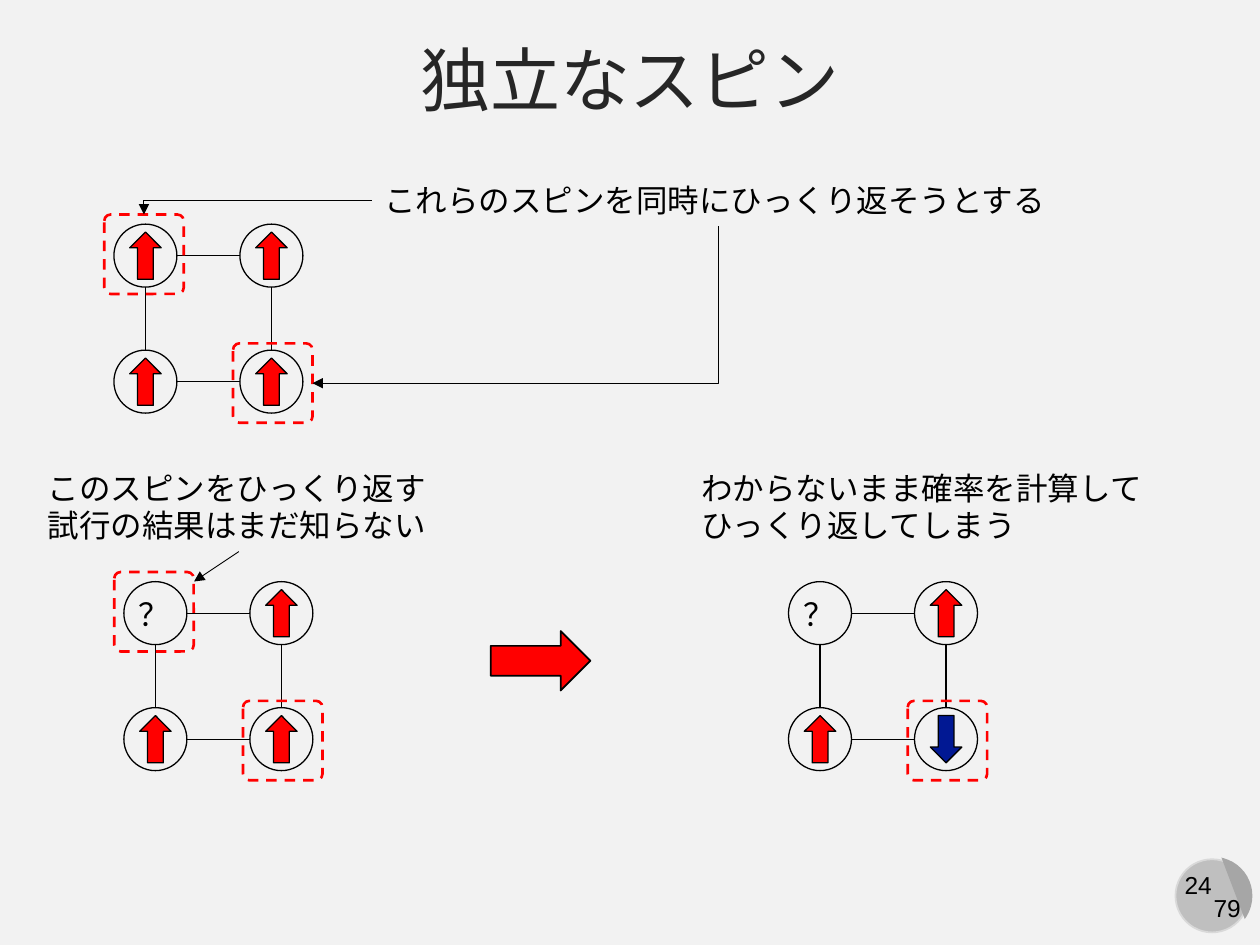
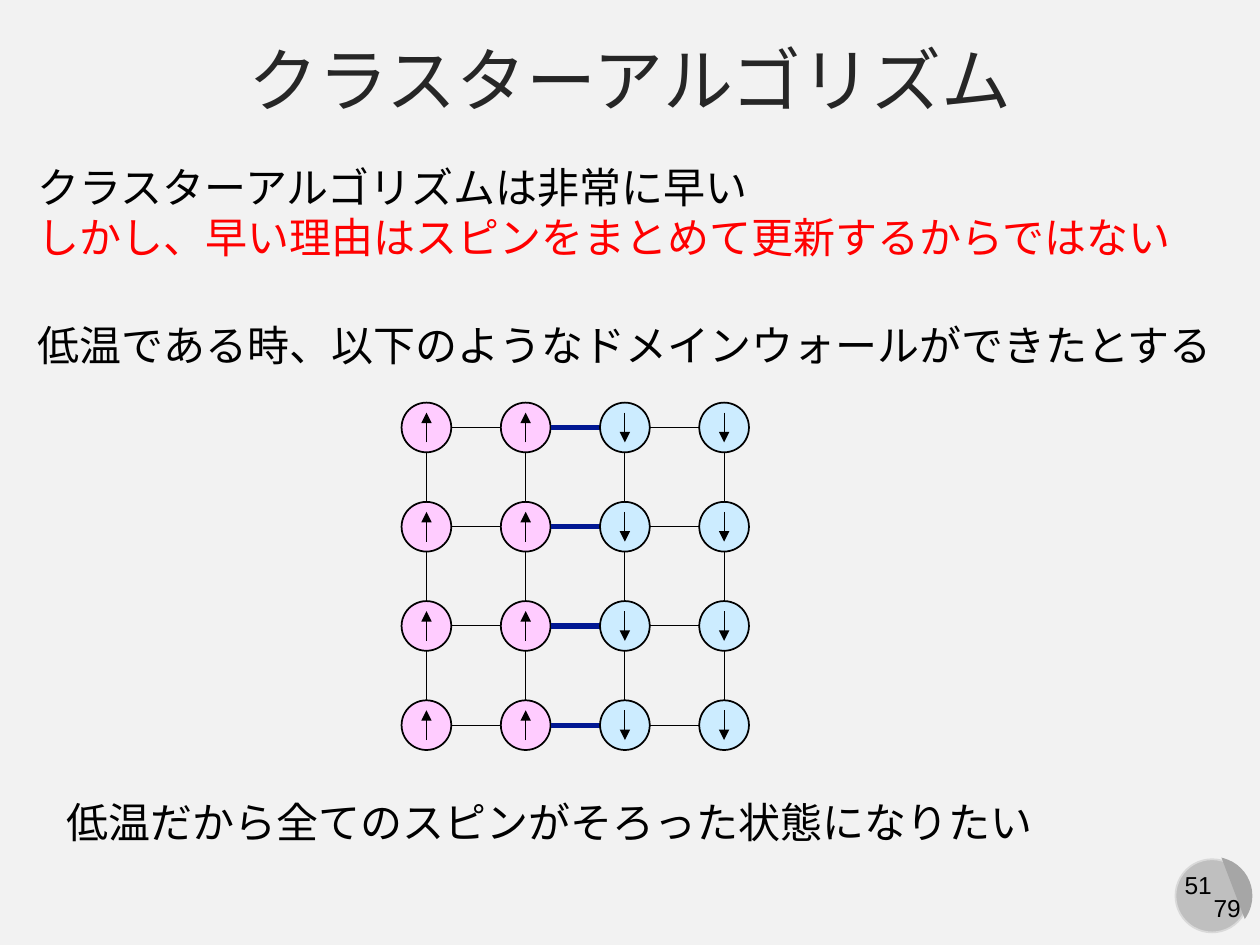
"""Build two slides on spin flips and the cluster algorithm."""
from pptx import Presentation
from pptx.dml.color import RGBColor
from pptx.enum.dml import MSO_LINE
from pptx.enum.lang import MSO_LANGUAGE_ID
from pptx.enum.shapes import MSO_CONNECTOR, MSO_SHAPE
from pptx.enum.text import MSO_ANCHOR, MSO_AUTO_SIZE, PP_ALIGN
from pptx.oxml.ns import qn
from pptx.util import Pt
from lxml import etree

OVAL, CHORD, ROUND = MSO_SHAPE.OVAL, MSO_SHAPE.CHORD, MSO_SHAPE.ROUNDED_RECTANGLE
DOWN, RIGHT = MSO_SHAPE.DOWN_ARROW, MSO_SHAPE.RIGHT_ARROW
LINE, BENT = MSO_CONNECTOR.STRAIGHT, MSO_CONNECTOR.ELBOW
LEFT, CENTER, MIDDLE = PP_ALIGN.LEFT, PP_ALIGN.CENTER, MSO_ANCHOR.MIDDLE
DASH, FIT, JAPAN = MSO_LINE.DASH, MSO_AUTO_SIZE.SHAPE_TO_FIT_TEXT, MSO_LANGUAGE_ID.JAPANESE

FONT = "Arial"
HUES = {name: RGBColor.from_string(code) for name, code in {
    "back": "F2F2F2", "title": "262626", "ink": "000000", "red": "FF0000",
    "navy": "011893", "pink": "FFCCFF", "sky": "CCECFF",
    "disc": "BFBFBF", "rim": "D9D9D9", "shade": "A6A6A6"}.items()}


def put(slide, kind, x, y, wide, high, fill=None, edge="ink", thick=0.75, turn=0):
    """Add a preset shape centred on x, y."""
    shape = slide.shapes.add_shape(
        kind, Pt(x - wide / 2), Pt(y - high / 2), Pt(wide), Pt(high))
    shape.shadow.inherit = False
    shape.rotation = turn
    if fill:
        shape.fill.solid()
        shape.fill.fore_color.rgb = HUES[fill]
    else:
        shape.fill.background()
    if edge:
        shape.line.color.rgb = HUES[edge]
        shape.line.width = Pt(thick)
    else:
        shape.line.fill.background()
    return shape


def link(slide, x1, y1, x2, y2, thick=0.5, hue="ink", tip=None, kind=LINE):
    """Add a connector, with an arrowhead if tip names an end."""
    line = slide.shapes.add_connector(kind, Pt(x1), Pt(y1), Pt(x2), Pt(y2))
    line.line.color.rgb = HUES[hue]
    line.line.width = Pt(thick)
    props = line._element.spPr
    if tip:
        etree.SubElement(props.find(qn("a:ln")), qn(tip), type="triangle")
    if kind == BENT:
        props.find(qn("a:prstGeom")).set("prst", "bentConnector2")
    etree.SubElement(props, qn("a:effectLst"))
    return line


PAGES = [
    ("独立なスピン", "24", [
        (212.4, 100, 396, 29, 18, [("これらのスピンを同時にひっくり返そうとする", "ink")]),
        (20.2, 264.2, 232.6, 51, 18, [("このスピンをひっくり返す", "ink"),
                                      ("試行の結果はまだ知らない", "ink")]),
        (393.8, 264.2, 269.3, 51, 18, [("わからないまま確率を計算して", "ink"),
                                       ("ひっくり返してしまう", "ink")]),
        (72, 336.2, 32.4, 29, 18, [("？", "ink")]),
        (452.2, 336.2, 32.4, 29, 18, [("？", "ink")])]),
    ("クラスターアルゴリズム", "51", [
        (14.4, 88.6, 669, 65.5, 24, [
            ("クラスターアルゴリズムは非常に早い", "ink"),
            ("しかし、早い理由はスピンをまとめて更新するからではない", "red")]),
        (14.4, 179.3, 693.4, 36, 24, [
            ("低温である時、以下のようなドメインウォールができたとする", "ink")]),
        (31, 451.4, 571.7, 36, 24, [
            ("低温だから全てのスピンがそろった状態になりたい", "ink")])]),
]

deck = Presentation()
deck.slide_width, deck.slide_height = Pt(720), Pt(540)
slides, boxes = [], []
for head, count, notes in PAGES:
    slide = deck.slides.add_slide(deck.slide_layouts[5])
    slides.append(slide)
    slide.background.fill.solid()
    slide.background.fill.fore_color.rgb = HUES["back"]

    title = slide.shapes.title
    title.left, title.top, title.width, title.height = Pt(0), Pt(15.1), Pt(720), Pt(59)
    title.text_frame.vertical_anchor = MIDDLE
    para = title.text_frame.paragraphs[0]
    para.alignment, para.space_before = CENTER, Pt(10)
    run = para.add_run()
    run.text = head
    run.font.name, run.font.size = FONT, Pt(40)
    run.font.language_id = JAPAN
    run.font.color.rgb = HUES["title"]

    put(slide, OVAL, 692.6, 511.9, 41.8, 41.8, "disc", "rim", 1)
    shade = put(slide, CHORD, 693.4, 511.9, 44.6, 44.6, "shade", None, turn=255)
    shade.adjustments[0], shade.adjustments[1] = 16.2, 84.85

    badge = [(668.9, 493.9, 31.7, 24.5, 14, [(count, "ink")]),
             (686.2, 506.9, 30.2, 24.5, 14, [("79", "ink")])]
    for x, y, wide, high, size, rows in notes + badge:
        box = slide.shapes.add_textbox(Pt(x), Pt(y), Pt(wide), Pt(high))
        boxes.append(box)
        frame = box.text_frame
        frame.word_wrap, frame.auto_size = False, FIT
        for i, (words, hue) in enumerate(rows):
            para = frame.add_paragraph() if i else frame.paragraphs[0]
            para.alignment = CENTER if size == 14 else LEFT
            run = para.add_run()
            run.text = words
            run.font.name, run.font.size = FONT, Pt(size)
            run.font.language_id = JAPAN
            run.font.color.rgb = HUES[hue]

spins, walls = slides

STEP, RING = 72, 36
for left, top, states, picks in [(83.1, 146.1, "↑↑↑↑", (0, 3)),
                                 (88.8, 350.4, "？↑↑↑", (0, 3)),
                                 (468.6, 350.4, "？↑↑↓", (3,))]:
    for i, state in enumerate(states):
        row, col = divmod(i, 2)
        x, y = left + col * STEP, top + row * STEP
        put(spins, OVAL, x, y, RING, RING)
        if state == "↑":
            put(spins, DOWN, x, y, 18, 27, "red", turn=180)
        elif state == "↓":
            put(spins, DOWN, x, y, 18, 27, "navy")
        if col == 0:
            link(spins, x + STEP - RING / 2, y, x + RING / 2, y, 0.75)
        if row == 0:
            link(spins, x, y + RING / 2, x, y + STEP - RING / 2, 0.75)
        if i in picks:
            shift = 0.8 if i else -0.8
            frame = put(spins, ROUND, x + shift, y + shift, 45.4, 45.4, None, "red", 1.5)
            frame.adjustments[0] = 0.08
            frame.line.dash_style = DASH

link(spins, 212.4, 114.5, 82.3, 122.6, tip="a:tailEnd", kind=BENT)
link(spins, 178.6, 219, 410.4, 129, tip="a:headEnd", kind=BENT)
hint = link(spins, 136.5, 315.2, 110.9, 332.3, tip="a:tailEnd")
hint.begin_connect(boxes[1], 2)
put(spins, RIGHT, 308.9, 377.6, 57, 34, "red", thick=1)

SIDE, STEP, DOT, REACH = 4, 56.7, 28.4, 8.5
for row in range(SIDE):
    for col in range(SIDE):
        x, y = 243.7 + col * STEP, 244.3 + row * STEP
        above = col < SIDE / 2
        put(walls, OVAL, x, y, DOT, DOT, "pink" if above else "sky", thick=1)
        dip = REACH if above else -REACH
        link(walls, x, y + dip, x, y - dip, tip="a:tailEnd")
        if col < SIDE - 1:
            thick, hue = (3, "navy") if col == 1 else (0.5, "ink")
            link(walls, x + DOT / 2, y, x + STEP - DOT / 2, y, thick, hue)
        if row < SIDE - 1:
            link(walls, x, y + DOT / 2, x, y + STEP - DOT / 2)

deck.save("out.pptx")
